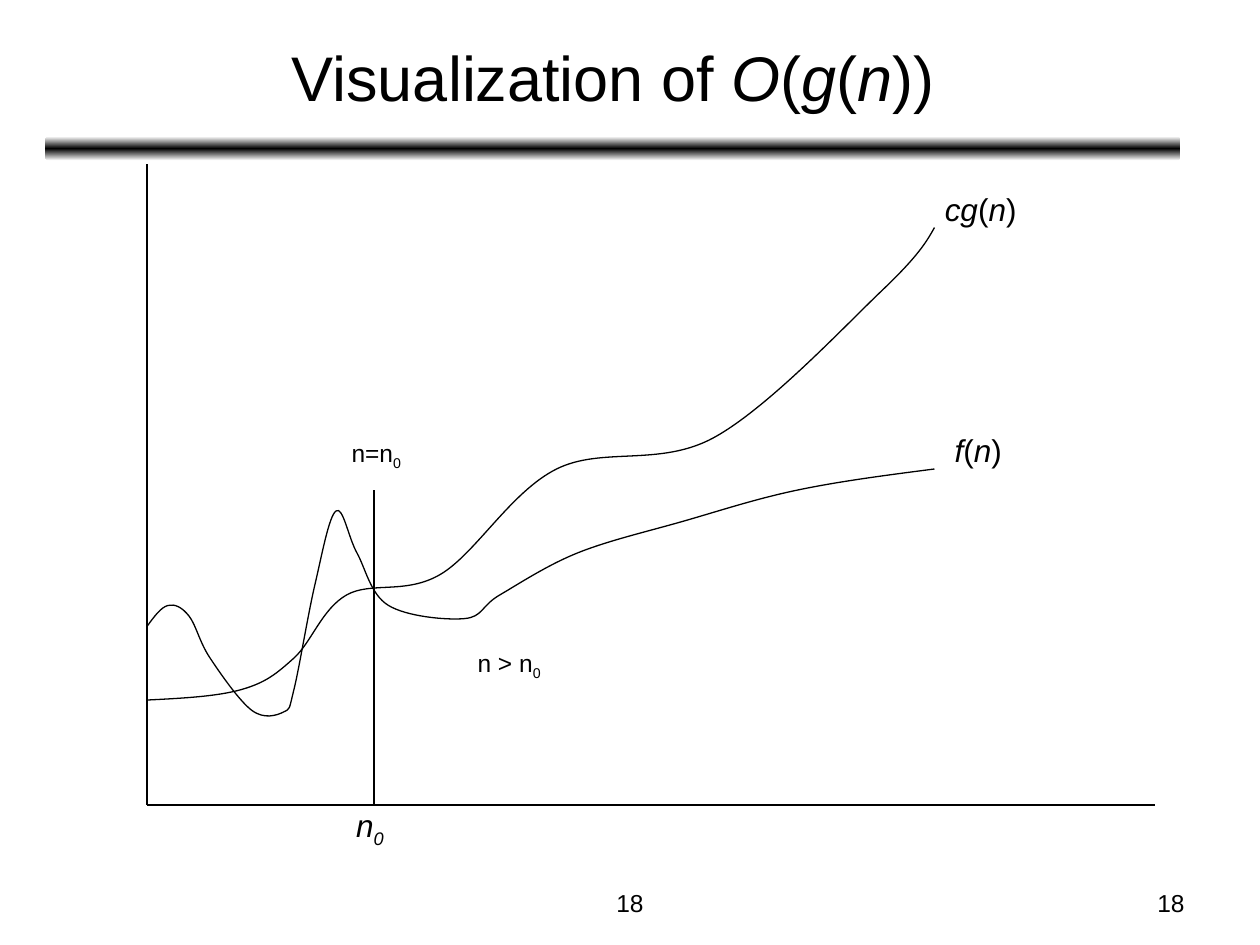
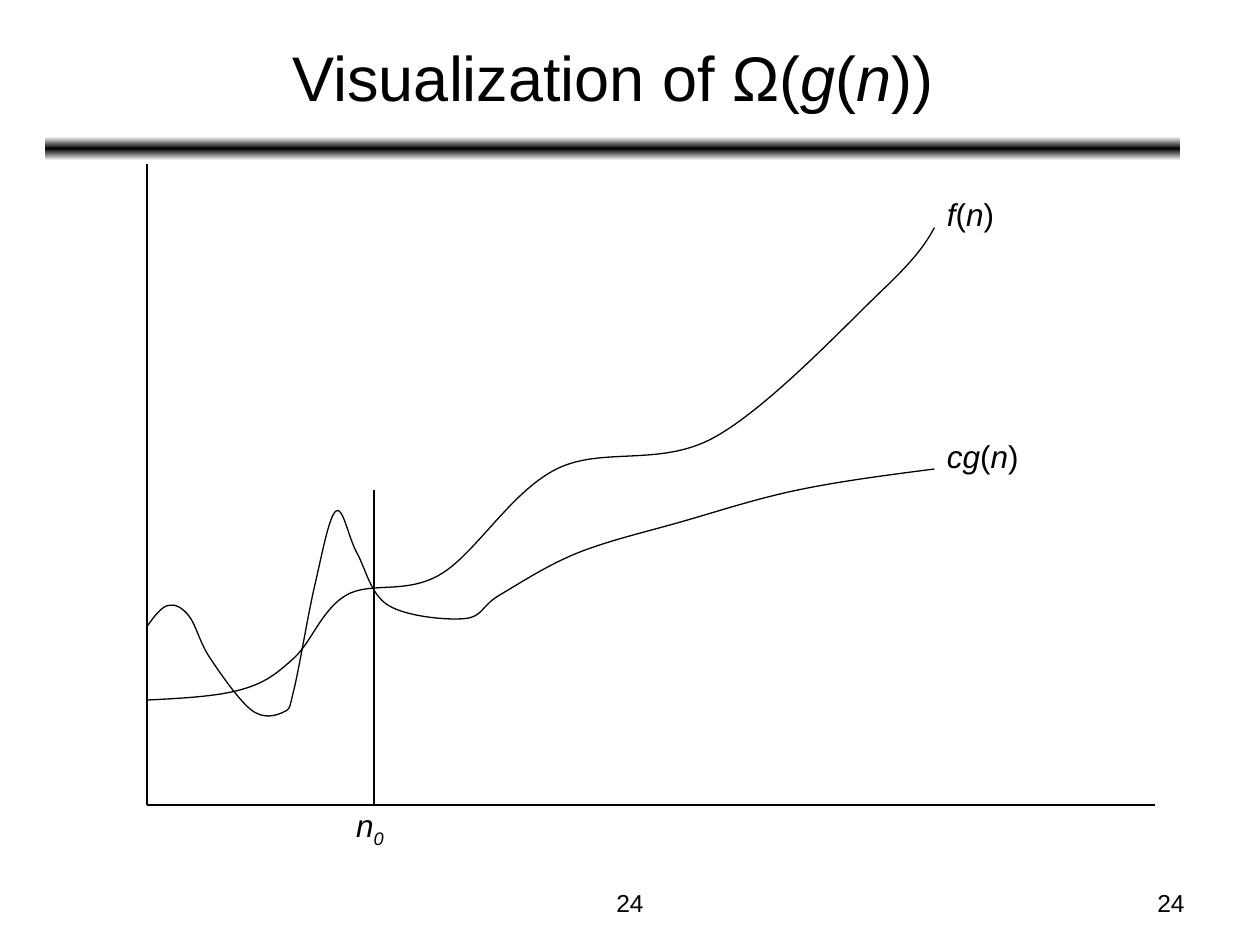
from copy import deepcopy
from dataclasses import dataclass

from lxml import etree
from pptx import Presentation
from pptx.dml.color import RGBColor
from pptx.enum.shapes import MSO_CONNECTOR, MSO_SHAPE
from pptx.enum.text import MSO_ANCHOR, MSO_AUTO_SIZE, PP_ALIGN
from pptx.oxml.ns import qn
from pptx.slide import Slide
from pptx.util import Inches, Pt

LEFT, CENTER, RIGHT = PP_ALIGN.LEFT, PP_ALIGN.CENTER, PP_ALIGN.RIGHT
TOP, MIDDLE = MSO_ANCHOR.TOP, MSO_ANCHOR.MIDDLE
GROW, FIXED = MSO_AUTO_SIZE.SHAPE_TO_FIT_TEXT, MSO_AUTO_SIZE.NONE
STRAIGHT = MSO_CONNECTOR.STRAIGHT
ROUNDED = MSO_SHAPE.ROUNDED_RECTANGLE

# The slide is a grid of 120 columns and 90 rows
COLUMNS, ROWS = 120, 90
CELL = Inches(10) / COLUMNS


@dataclass(frozen=True)
class Theme:
    font: str = "Arial"
    ink: RGBColor = RGBColor(0, 0, 0)
    paper: RGBColor = RGBColor(255, 255, 255)
    title_size: int = 36
    label_size: int = 18
    small_size: int = 14
    line_width: float = 0.75
    marker_width: float = 1


@dataclass(frozen=True)
class Run:
    text: str
    italic: bool = False
    subscript: bool = False


@dataclass(frozen=True)
class Box:
    column: float
    row: float
    columns: float
    rows: float

    def lengths(self) -> list[int]:
        return [cells(n) for n in (self.column, self.row, self.columns, self.rows)]


@dataclass(frozen=True)
class Label:
    runs: tuple[Run, ...]
    box: Box
    size: int
    align: PP_ALIGN = LEFT
    anchor: MSO_ANCHOR = TOP
    auto_size: MSO_AUTO_SIZE = FIXED
    inset: float = 0.05


@dataclass(frozen=True)
class GrowthSlide:
    title: tuple[Run, ...]
    number: int
    labels: tuple[Label, ...]


Point = tuple[float, float]
THEME = Theme()

# Shared places, in grid cells
TITLE_BOX = Box(4.4, 1.3, 108, 11.9)
BAND_BOX = Box(4.3, 13, 108.1, 2.3)
CENTER_NUMBER_BOX = Box(41, 84, 38, 4.2)
RIGHT_NUMBER_BOX = Box(86, 84, 28, 4.2)

# The plot: cells to the right of and above the origin
ORIGIN = (14, 76.67)
AXIS_WIDTH, AXIS_HEIGHT = 96, 61
THRESHOLD, THRESHOLD_HEIGHT = 21.6, 30
UPPER_CURVE = [(0, 10), (9, 11), (14, 14), (19, 20), (28, 22), (39, 32),
               (54, 35), (70, 49), (75, 55)]
LOWER_CURVE = [(0, 17), (2, 19), (4, 18), (6, 14), (10, 9), (13, 8.85),
               (14, 11), (16, 21), (18, 28), (20, 24), (23, 19), (30.25, 17.75),
               (33.6, 20), (41, 24), (51, 27), (62, 30), (75, 32)]

# Formulas
G_OF_N = (Run("g", True), Run("("), Run("n", True))
CG_OF_N = (Run("cg", True), Run("("), Run("n", True), Run(")"))
F_OF_N = (Run("f", True), Run("("), Run("n", True), Run(")"))
ZERO = Run("0", subscript=True)


def cells(count: float) -> int:
    return round(count * CELL)


def plot_point(point: Point) -> tuple[int, int]:
    return cells(ORIGIN[0] + point[0]), cells(ORIGIN[1] - point[1])


def formula(runs: tuple[Run, ...], column: float, row: float, columns: float) -> Label:
    return Label(runs, Box(column, row, columns, 6), THEME.label_size, auto_size=GROW)


def remark(text: str, column: float, row: float) -> Label:
    return Label((Run(text), ZERO), Box(column, row, 16.7, 5.3), THEME.small_size,
                 auto_size=GROW, inset=0.1)


THRESHOLD_LABEL = formula((Run("n", True), Run("0", True, True)), 32.75, 76.2, 5.8)

SLIDES = (
    GrowthSlide(
        (Run("Visualization of "), Run("O", True), Run("("), *G_OF_N, Run("))")), 18,
        (formula(CG_OF_N, 88.8, 17.5, 10.8), formula(F_OF_N, 89.75, 40.5, 8.2),
         remark("n=n", 32.3, 40.5), remark("n > n", 44.3, 60.5)),
    ),
    GrowthSlide(
        (Run("Visualization of Ω("), *G_OF_N, Run("))")), 24,
        (formula(CG_OF_N, 89, 41, 10.8), formula(F_OF_N, 89, 18, 8.2)),
    ),
)


def add_label(slide: Slide, label: Label) -> None:
    shape = slide.shapes.add_textbox(*label.box.lengths())
    frame = shape.text_frame
    frame.word_wrap = True
    frame.auto_size = label.auto_size
    frame.vertical_anchor = label.anchor
    frame.margin_left = frame.margin_right = Inches(0.1)
    frame.margin_top = frame.margin_bottom = Inches(label.inset)
    paragraph = frame.paragraphs[0]
    paragraph.alignment = label.align
    paragraph.font.name = THEME.font
    paragraph.font.size = Pt(label.size)
    paragraph.font.color.rgb = THEME.ink
    for part in label.runs:
        run = paragraph.add_run()
        run.text = part.text
        run.font.italic = part.italic
        if part.subscript:
            run._r.get_or_add_rPr().set("baseline", "-25000")


def add_band(slide: Slide) -> None:
    band = slide.shapes.add_shape(ROUNDED, *BAND_BOX.lengths())
    band.shadow.inherit = False
    band.line.fill.background()
    band.fill.gradient()
    band.fill.gradient_angle = 90
    edge, middle = band.fill.gradient_stops
    edge.color.rgb, edge.position = THEME.paper, 0
    middle.color.rgb, middle.position = THEME.ink, 0.5
    # Repeat the edge colour at the far side
    stops = band._element.find(f".//{qn('a:gsLst')}")
    far_edge = deepcopy(stops[0])
    far_edge.set("pos", "100000")
    stops.append(far_edge)


def add_line(slide: Slide, start: Point, end: Point, width: float) -> None:
    line = slide.shapes.add_connector(STRAIGHT, *plot_point(start), *plot_point(end))
    line.line.color.rgb = THEME.ink
    line.line.width = Pt(width)
    etree.SubElement(line._element.spPr, qn("a:effectLst"))


def between(first: Point, second: Point) -> Point:
    return (first[0] + second[0]) / 2, (first[1] + second[1]) / 2


def curve_segments(knots: list[Point]) -> list[tuple[Point, Point, Point]]:
    """Join knots with cubics whose handles are a sixth of the neighbours' gap."""
    handles = [((after[0] - before[0]) / 6, (after[1] - before[1]) / 6)
               for before, after in zip(knots, knots[2:])]
    leaving = [(x + dx, y + dy) for (x, y), (dx, dy) in zip(knots[1:], handles)]
    arriving = [(x - dx, y - dy) for (x, y), (dx, dy) in zip(knots[1:], handles)]
    leaving.insert(0, between(knots[0], arriving[0]))
    arriving.append(between(leaving[-1], knots[-1]))
    return list(zip(leaving, arriving, knots[1:]))


def add_curve(slide: Slide, knots: list[Point]) -> None:
    points = [plot_point(knot) for knot in knots]
    builder = slide.shapes.build_freeform(*points[0])
    builder.add_line_segments(points[1:], close=False)
    curve = builder.convert_to_shape()
    curve.shadow.inherit = False
    curve.fill.background()
    curve.line.color.rgb = THEME.ink
    curve.line.width = Pt(THEME.line_width)
    # Turn the straight segments into smooth ones
    outline = curve._element.find(f".//{qn('a:path')}")
    for straight in outline.findall(qn("a:lnTo")):
        outline.remove(straight)
    for segment in curve_segments(points):
        cubic = etree.SubElement(outline, qn("a:cubicBezTo"))
        for x, y in segment:
            etree.SubElement(cubic, qn("a:pt"), x=str(round(x - curve.left)),
                             y=str(round(y - curve.top)))


def add_plot(slide: Slide) -> None:
    add_line(slide, (0, AXIS_HEIGHT), (0, 0), THEME.line_width)
    add_line(slide, (0, 0), (AXIS_WIDTH, 0), THEME.line_width)
    add_curve(slide, UPPER_CURVE)
    add_curve(slide, LOWER_CURVE)
    add_line(slide, (THRESHOLD, THRESHOLD_HEIGHT), (THRESHOLD, 0), THEME.marker_width)
    add_label(slide, THRESHOLD_LABEL)


def add_growth_slide(presentation: Presentation, content: GrowthSlide) -> None:
    slide = presentation.slides.add_slide(presentation.slide_layouts[6])
    number = (Run(str(content.number)),)
    add_band(slide)
    add_label(slide, Label(number, CENTER_NUMBER_BOX, THEME.small_size, CENTER))
    add_label(slide, Label(content.title, TITLE_BOX, THEME.title_size, CENTER, MIDDLE))
    add_plot(slide)
    for label in content.labels:
        add_label(slide, label)
    add_label(slide, Label(number, RIGHT_NUMBER_BOX, THEME.small_size, RIGHT))


def main() -> None:
    presentation = Presentation()
    presentation.slide_width = cells(COLUMNS)
    presentation.slide_height = cells(ROWS)
    for content in SLIDES:
        add_growth_slide(presentation, content)
    presentation.save("out.pptx")


if __name__ == "__main__":
    main()
